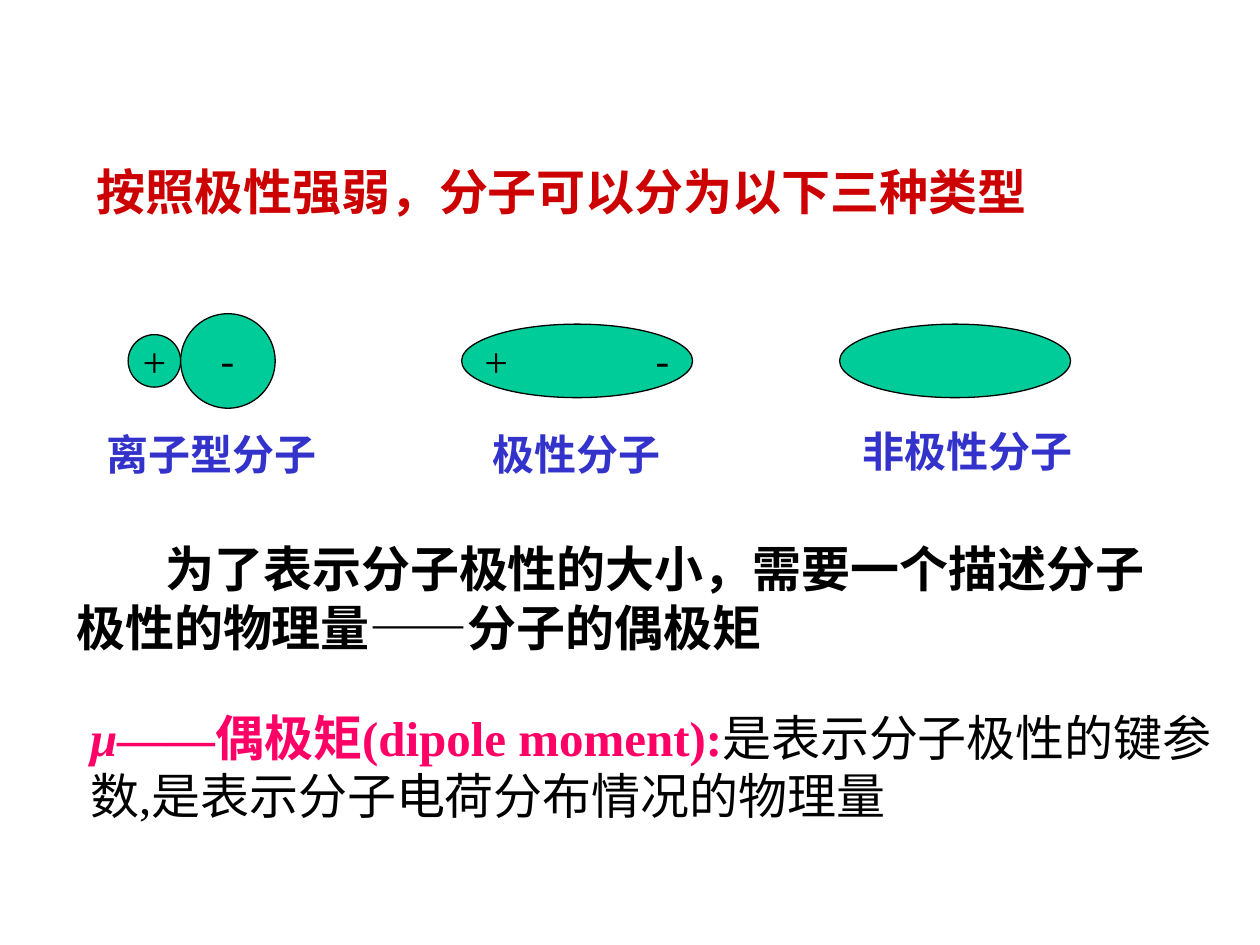
from lxml.etree import SubElement
from pptx import Presentation
from pptx.dml.color import RGBColor
from pptx.enum.shapes import MSO_SHAPE
from pptx.enum.text import MSO_ANCHOR, PP_ALIGN
from pptx.oxml.ns import qn
from pptx.util import Pt

SANS, SERIF = "Noto Sans CJK SC", "Times New Roman"


def color(hex_code):
    return RGBColor.from_string(hex_code)


def add_span(para, text, face, size, hex_code, bold=False, italic=False):
    span = para.add_run()
    span.text = text
    font = span.font
    font.name, font.size, font.bold, font.italic = face, Pt(size), bold, italic
    font.color.rgb = color(hex_code)
    # Chinese characters are always sans serif
    SubElement(font._element, qn("a:ea"), typeface=SANS)
    return span


deck = Presentation()
deck.slide_width, deck.slide_height = Pt(720), Pt(540)
page = deck.slides.add_slide(deck.slide_layouts[5])

# Heading
title = page.shapes.title
title.left, title.top, title.width, title.height = Pt(48), Pt(88.5), Pt(620), Pt(41)
title.text_frame.vertical_anchor = MSO_ANCHOR.TOP
heading = title.text_frame.paragraphs[0]
heading.alignment = PP_ALIGN.LEFT
add_span(heading, "按照极性强弱，分子可以分为以下三种类型", SANS, 28, "CC0000", bold=True)

# Three molecule types: label, label box, then ellipses with their charges
molecules = [
    ("离子型分子", (54, 241.5, 136),
     [((73.25, 191.25, 30, 30), [("+", SERIF)]), ((103.25, 179.25, 54, 54), [("-", SANS)])]),
    ("极性分子", (274.5, 241.5, 112),
     [((263.75, 185.25, 132, 42), [("+", SERIF), (" ", SERIF), ("-", SANS)])]),
    ("非极性分子", (486, 239.5, 136), [((479.75, 185.25, 132, 42), [])]),
]
for label, (left, top, width), ellipses in molecules:
    group = page.shapes.add_group_shape()
    for place, charges in ellipses:
        ellipse = group.shapes.add_shape(MSO_SHAPE.OVAL, *map(Pt, place))
        ellipse.shadow.inherit = False
        ellipse.fill.solid()
        ellipse.fill.fore_color.rgb = color("00CC99")
        ellipse.line.color.rgb = color("000000")
        ellipse.line.width = Pt(0.75)
        frame = ellipse.text_frame
        frame.word_wrap = False
        frame.vertical_anchor = MSO_ANCHOR.MIDDLE
        para = frame.paragraphs[0]
        para.alignment = PP_ALIGN.CENTER
        for sign, face in charges:
            span = add_span(para, sign, face, 24, "000000")
            if sign == " ":
                # Character spacing (1/100 pt) holds the charges apart
                span.font._element.set("spc", "7800")
    box = group.shapes.add_textbox(Pt(left), Pt(top), Pt(width), Pt(36))
    box.text_frame.word_wrap = False
    add_span(box.text_frame.paragraphs[0], label, SERIF, 24, "3333CC", bold=True)

# Explanation and definition: place, first-line indent, spans
passages = [
    ((36.5, 304, 631.5, 74), 51, [
        ("为了表示分子极性的大小，需要一个描述分子极性的物理量——分子的偶极矩",
         "000000", True, False)]),
    ((44.5, 400.5, 675.5, 74), 0, [
        ("μ——", "FF0066", True, True),
        ("偶极矩(dipole moment):", "FF0066", True, False),
        ("是表示分子极性的键参数,是表示分子电荷分布情况的物理量", "000000", False, False)]),
]
for place, indent, spans in passages:
    box = page.shapes.add_textbox(*map(Pt, place))
    box.text_frame.word_wrap = True
    para = box.text_frame.paragraphs[0]
    para._p.get_or_add_pPr().set("indent", str(Pt(indent)))
    for text, hex_code, bold, italic in spans:
        add_span(para, text, SERIF, 28, hex_code, bold, italic)

deck.save("out.pptx")
